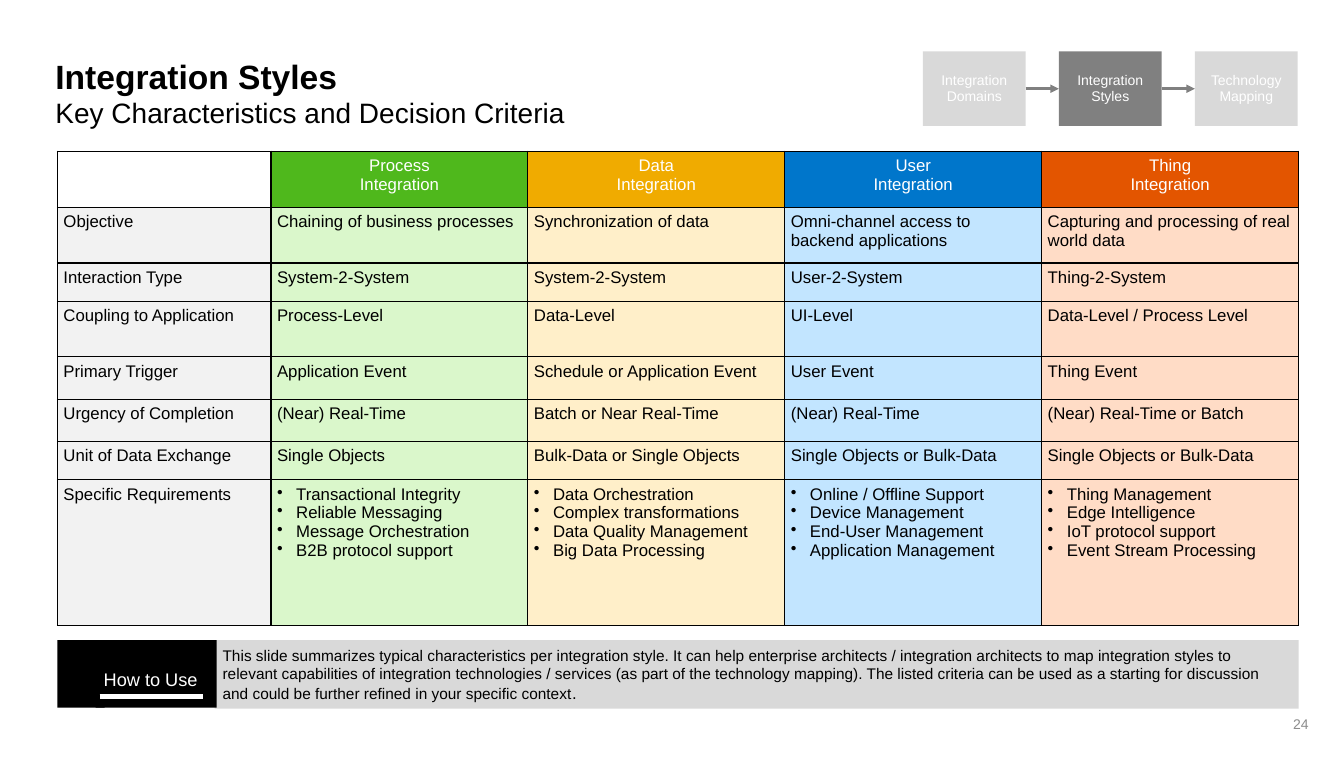
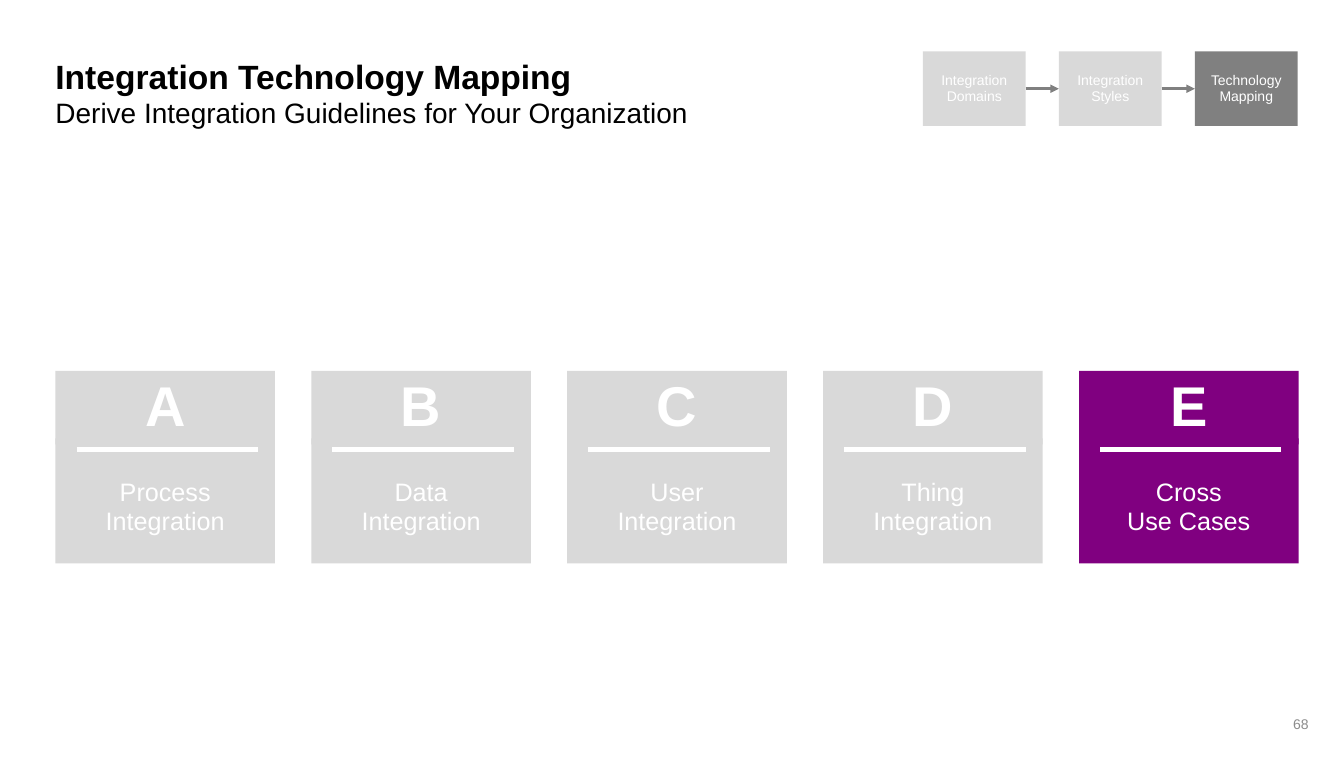
"""Builds two slides on integration styles and integration technology mapping."""
from dataclasses import dataclass

from lxml import etree
from pptx import Presentation
from pptx import util as u
from pptx.dml.color import RGBColor
from pptx.enum import shapes, text
from pptx.oxml import ns

PX = 9144
FONT = "Arial"
BLACK = RGBColor(0x00, 0x00, 0x00)
WHITE = RGBColor(0xFF, 0xFF, 0xFF)
LIGHT = RGBColor(0xD9, 0xD9, 0xD9)
GRAY = RGBColor(0x80, 0x80, 0x80)
NUMBER_GRAY = RGBColor(0x8C, 0x8C, 0x8C)
CRITERIA_GRAY = RGBColor(0xF2, 0xF2, 0xF2)
PURPLE = RGBColor(0x80, 0x00, 0x80)

LEFT, CENTER, RIGHT = text.PP_ALIGN.LEFT, text.PP_ALIGN.CENTER, text.PP_ALIGN.RIGHT
TOP, MIDDLE = text.MSO_ANCHOR.TOP, text.MSO_ANCHOR.MIDDLE


@dataclass(frozen=True)
class Box:
    """A rectangle in px."""
    left: int
    top: int
    width: int
    height: int

    def emu(self) -> tuple[int, ...]:
        """Return the rectangle in EMU."""
        return tuple(n * PX for n in (self.left, self.top, self.width, self.height))


@dataclass(frozen=True)
class Style:
    """One integration style, a column of the table."""
    name: str
    dark: RGBColor
    pale: RGBColor
    values: tuple[str, ...]
    requirements: tuple[str, ...]


@dataclass(frozen=True)
class Card:
    """One lettered use case."""
    letter: str
    lines: tuple[str, ...]
    fill: RGBColor = LIGHT


STEPS = ("Integration Domains", "Integration Styles", "Technology Mapping")
CRITERIA = ("Objective", "Interaction Type", "Coupling to Application", "Primary Trigger",
            "Urgency of Completion", "Unit of Data Exchange", "Specific Requirements")
COLUMN_WIDTHS = (212, 255, 255, 255, 255)
ROW_HEIGHTS = (56, 55, 38, 55, 42, 42, 38, 145)
STYLES = (
    Style("Process", RGBColor(0x4F, 0xB8, 0x1C), RGBColor(0xDA, 0xF7, 0xCB),
          ("Chaining of business processes", "System-2-System", "Process-Level",
           "Application Event", "(Near) Real-Time", "Single Objects"),
          ("Transactional Integrity", "Reliable Messaging", "Message Orchestration",
           "B2B protocol support")),
    Style("Data", RGBColor(0xF0, 0xAB, 0x00), RGBColor(0xFF, 0xEF, 0xC9),
          ("Synchronization of data", "System-2-System", "Data-Level",
           "Schedule or Application Event", "Batch or Near Real-Time",
           "Bulk-Data or Single Objects"),
          ("Data Orchestration", "Complex transformations", "Data Quality Management",
           "Big Data Processing")),
    Style("User", RGBColor(0x00, 0x76, 0xCB), RGBColor(0xC2, 0xE5, 0xFF),
          ("Omni-channel access to backend applications", "User-2-System", "UI-Level",
           "User Event", "(Near) Real-Time", "Single Objects or Bulk-Data"),
          ("Online / Offline Support", "Device Management", "End-User Management",
           "Application Management")),
    Style("Thing", RGBColor(0xE3, 0x55, 0x00), RGBColor(0xFF, 0xDC, 0xC6),
          ("Capturing and processing of real world data", "Thing-2-System",
           "Data-Level / Process Level", "Thing Event", "(Near) Real-Time or Batch",
           "Single Objects or Bulk-Data"),
          ("Thing Management", "Edge Intelligence", "IoT protocol support",
           "Event Stream Processing")),
)
CARDS = (
    Card("A", ("Process", "Integration")),
    Card("B", ("Data", "Integration")),
    Card("C", ("User", "Integration")),
    Card("D", ("Thing", "Integration")),
    Card("E", ("Cross", "Use Cases"), PURPLE),
)
USAGE = (
    "This slide summarizes typical characteristics per integration style. It can help "
    "enterprise architects / integration architects to map integration styles to relevant "
    "capabilities of integration technologies / services (as part of the technology mapping). "
    "The listed criteria can be used as a starting for discussion and could be further refined "
    "in your specific context")


def add_run(paragraph, words: str, size: int, color: RGBColor, bold: bool = False) -> None:
    """Add a formatted run to a paragraph."""
    run = paragraph.add_run()
    run.text = words
    run.font.name, run.font.size, run.font.bold = FONT, u.Pt(size), bold
    run.font.color.rgb = color


def write(frame, *lines: str, size: int = 12, color: RGBColor = BLACK, bold: bool = False,
          align=LEFT, spacing: float = 1.0, bullet: bool = False):
    """Write one paragraph per line and return the last paragraph."""
    for index, line in enumerate(lines):
        paragraph = frame.add_paragraph() if index else frame.paragraphs[0]
        paragraph.alignment, paragraph.line_spacing = align, spacing
        if bullet:
            properties = paragraph._p.get_or_add_pPr()
            properties.set("marL", str(19 * PX))
            properties.set("indent", str(-19 * PX))
            etree.SubElement(properties, ns.qn("a:buChar")).set("char", "•")
        add_run(paragraph, line, size, color, bold)
    return paragraph


def set_frame(frame, anchor=MIDDLE, margins: tuple[int, ...] = (0, 0, 0, 0)) -> None:
    """Set wrapping, anchor and left, top, right and bottom margins of a text frame."""
    frame.word_wrap, frame.auto_size = True, text.MSO_AUTO_SIZE.NONE
    frame.vertical_anchor = anchor
    (frame.margin_left, frame.margin_top,
     frame.margin_right, frame.margin_bottom) = (n * PX for n in margins)


def add_block(slide, box: Box, fill: RGBColor, anchor=MIDDLE,
              margins: tuple[int, ...] = (0, 0, 0, 0)):
    """Add a plain filled rectangle."""
    block = slide.shapes.add_shape(shapes.MSO_SHAPE.RECTANGLE, *box.emu())
    block.shadow.inherit = False
    block.fill.solid()
    block.fill.fore_color.rgb = fill
    block.line.fill.background()
    set_frame(block.text_frame, anchor, margins)
    return block


def add_line(slide, start: int, end: int, y: int, color: RGBColor, width: int):
    """Add a horizontal line without a shadow."""
    line = slide.shapes.add_connector(shapes.MSO_CONNECTOR.STRAIGHT,
                                      start * PX, y * PX, end * PX, y * PX)
    line.line.color.rgb, line.line.width = color, u.Pt(width)
    etree.SubElement(line._element.spPr, ns.qn("a:effectLst"))
    return line


def add_steps(slide, active: int) -> None:
    """Draw the chain of steps with the active one highlighted."""
    previous = None
    for index, step in enumerate(STEPS):
        left = 916 + index * 135
        block = add_block(slide, Box(left, 51, 102, 74), GRAY if index == active else LIGHT)
        write(block.text_frame, step, size=10, color=WHITE, align=CENTER, spacing=0.95)
        if previous is not None:
            arrow = add_line(slide, left - 33, left, 88, GRAY, 2)
            arrow.begin_connect(previous, 3)
            arrow.end_connect(block, 1)
            outline = arrow.line._get_or_add_ln()
            etree.SubElement(outline, ns.qn("a:tailEnd")).set("type", "triangle")
        previous = block


def new_slide(deck, title: str, subtitle: str, number: int, active: int):
    """Add a slide with its title, steps and page number."""
    slide = deck.slides.add_slide(deck.slide_layouts[5])
    heading = slide.shapes.title
    heading.left, heading.top, heading.width, heading.height = Box(55, 55, 1223, 74).emu()
    set_frame(heading.text_frame, TOP)
    write(heading.text_frame, title, size=24, bold=True)
    add_subtitle = heading.text_frame.add_paragraph()
    add_subtitle.alignment = LEFT
    add_run(add_subtitle, subtitle, 20, BLACK)
    page = slide.shapes.add_textbox(*Box(1001, 698, 311, 40).emu()).text_frame
    set_frame(page, MIDDLE, (13, 7, 13, 7))
    write(page, str(number), size=10, color=NUMBER_GRAY, align=RIGHT)
    add_steps(slide, active)
    return slide


def format_cell(cell, fill: RGBColor | None, margin: int = 6) -> None:
    """Give a cell its black borders, fill and side margins."""
    properties = cell._tc.get_or_add_tcPr()
    for side in ("a:lnL", "a:lnR", "a:lnT", "a:lnB"):
        border = etree.SubElement(properties, ns.qn(side), w=str(u.Pt(1)))
        solid = etree.SubElement(border, ns.qn("a:solidFill"))
        etree.SubElement(solid, ns.qn("a:srgbClr"), val=str(BLACK))
    if fill is None:
        cell.fill.background()
    else:
        cell.fill.solid()
        cell.fill.fore_color.rgb = fill
    cell.margin_left = cell.margin_right = margin * PX
    cell.margin_top = cell.margin_bottom = 5 * PX


def add_style_table(slide) -> None:
    """Draw the table that compares the integration styles."""
    box = Box(57, 150, sum(COLUMN_WIDTHS), sum(ROW_HEIGHTS))
    table = slide.shapes.add_table(len(ROW_HEIGHTS), len(COLUMN_WIDTHS), *box.emu()).table
    table.first_row = table.horz_banding = False
    for column, width in zip(table.columns, COLUMN_WIDTHS):
        column.width = width * PX
    for row, height in zip(table.rows, ROW_HEIGHTS):
        row.height = height * PX
    format_cell(table.cell(0, 0), None)
    for row, criterion in enumerate(CRITERIA, 1):
        format_cell(table.cell(row, 0), CRITERIA_GRAY)
        write(table.cell(row, 0).text_frame, criterion)
    for column, style in enumerate(STYLES, 1):
        header = table.cell(0, column)
        format_cell(header, style.dark, margin=10)
        write(header.text_frame, style.name, "Integration", color=WHITE, align=CENTER)
        for row, value in enumerate(style.values, 1):
            format_cell(table.cell(row, column), style.pale)
            write(table.cell(row, column).text_frame, value)
        needs = table.cell(len(CRITERIA), column)
        format_cell(needs, style.pale)
        write(needs.text_frame, *style.requirements, bullet=True)


def add_usage(slide) -> None:
    """Draw the band that explains how to use the slide."""
    usage = add_block(slide, Box(213, 635, 1076, 68), LIGHT, margins=(8, 4, 8, 4))
    add_run(write(usage.text_frame, USAGE, size=11), ".", 12, BLACK)
    label = add_block(slide, Box(95, 635, 120, 67), BLACK, TOP, (8, 28, 8, 4))
    write(label.text_frame, "How to Use", size=13, color=WHITE)
    add_block(slide, Box(57, 635, 47, 67), BLACK)
    add_line(slide, 99, 202, 691, WHITE, 3)


def add_card(slide, card: Card, left: int) -> None:
    """Draw a card with its letter, rule and name."""
    name = add_block(slide, Box(left, 435, 218, 124), card.fill, margins=(0, 12, 0, 0))
    write(name.text_frame, *card.lines, size=18, color=WHITE, align=CENTER, spacing=0.95)
    letter = add_block(slide, Box(left, 368, 218, 73), card.fill)
    write(letter.text_frame, card.letter, size=40, color=WHITE, bold=True, align=CENTER,
          spacing=0.95)
    add_line(slide, left + 21, left + 201, 446, WHITE, 3)


def main() -> None:
    """Build and save the deck."""
    deck = Presentation()
    deck.slide_width, deck.slide_height = 1334 * PX, 751 * PX
    styles = new_slide(deck, "Integration Styles", "Key Characteristics and Decision Criteria",
                       24, active=1)
    add_style_table(styles)
    add_usage(styles)
    mapping = new_slide(deck, "Integration Technology Mapping",
                        "Derive Integration Guidelines for Your Organization", 68, active=2)
    for index, card in enumerate(CARDS):
        add_card(mapping, card, 55 + index * 254)
    deck.save("out.pptx")


if __name__ == "__main__":
    main()
